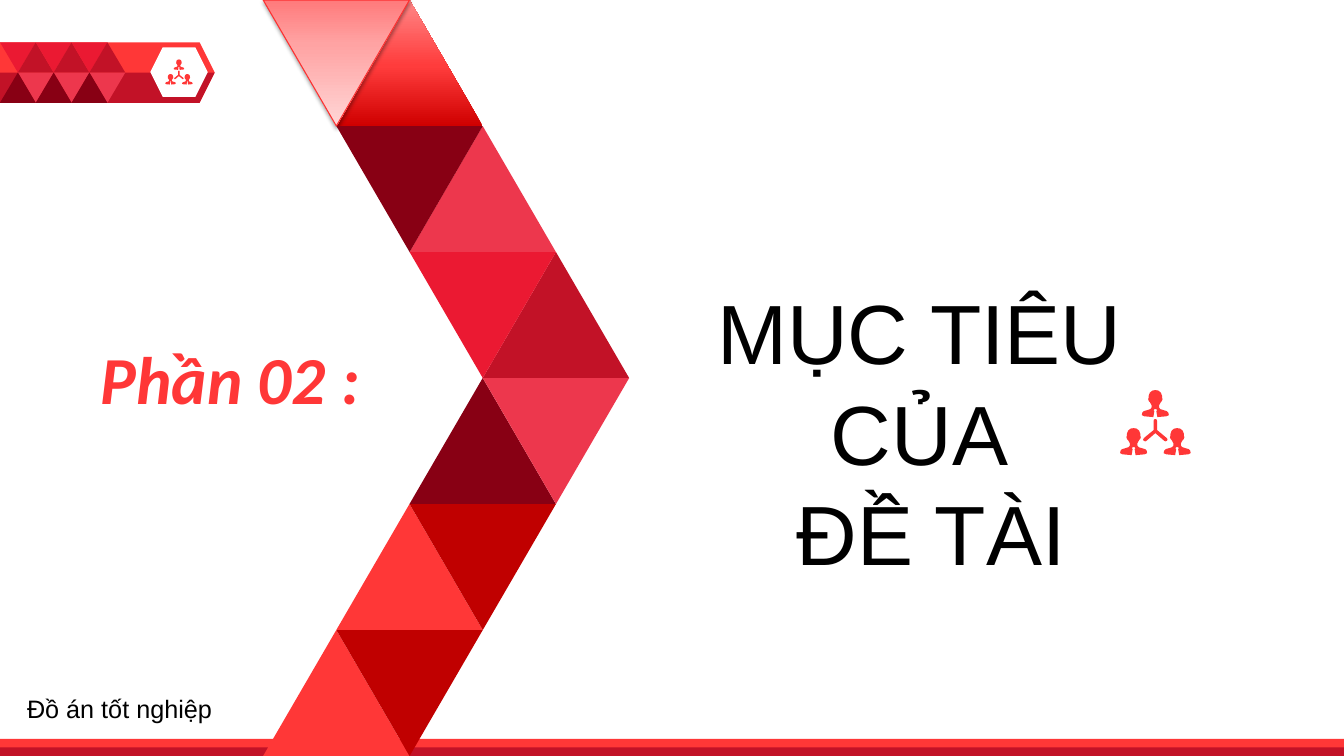
from lxml.etree import SubElement
from pptx import Presentation
from pptx.dml.color import RGBColor
from pptx.enum.shapes import MSO_SHAPE as SHAPE
from pptx.enum.text import MSO_ANCHOR, MSO_AUTO_SIZE, PP_ALIGN
from pptx.oxml.ns import qn
from pptx.util import Inches, Pt

SLIDE_W, SLIDE_H = 13.33, 7.5

BLACK = RGBColor(0x00, 0x00, 0x00)
WHITE = RGBColor(0xFF, 0xFF, 0xFF)
CORAL = RGBColor(0xFF, 0x37, 0x37)
OUTLINE = RGBColor(0xFD, 0x30, 0x30)
SCARLET = RGBColor(0xEB, 0x19, 0x32)
ROSE = RGBColor(0xED, 0x37, 0x4D)
CRIMSON = RGBColor(0xC2, 0x12, 0x27)
MAROON = RGBColor(0x88, 0x00, 0x14)
DARK_RED = RGBColor(0xC0, 0x00, 0x00)
RED_FADE = ((0, RGBColor(0xCF, 0x00, 0x00)), (48, RGBColor(0xFF, 0x3C, 0x3C)),
            (100, RGBColor(0xFF, 0x87, 0x87)))
PINK_FADE = ((0, RGBColor(0xFF, 0x7A, 0x7B)), (35, RGBColor(0xFF, 0xA3, 0xA3)),
             (100, RGBColor(0xFF, 0xD6, 0xD6)))

# Fills of the pointing-up and pointing-down triangle in each chevron row
CHEVRON_ROWS = ((RED_FADE, PINK_FADE), (ROSE, MAROON), (CRIMSON, SCARLET),
                (MAROON, ROSE), (CORAL, DARK_RED), (CORAL, DARK_RED))

# Right half of a person, from crown to tie, about a vertical axis
PERSON_HALF = ((0, 0), (30, 5), (55, 25), (68, 60), (68, 80), (72, 90), (65, 110),
               (55, 120), (38, 150), (38, 175), (50, 190), (80, 200), (115, 210),
               (130, 225), (135, 250), (110, 262), (20, 270), (10, 210), (18, 200),
               (8, 190))
PERSON_SPOTS = ((352, 0), (135, 380), (570, 380))
LINKS_HALF = ((0, 290), (12, 293), (18, 308), (18, 400), (115, 480), (122, 495),
              (115, 508), (100, 512), (90, 508), (0, 430))
ICON_UNITS = 705


def style(sp, fill):
    sp.shadow.inherit = False
    sp.line.fill.background()
    if isinstance(fill, RGBColor):
        sp.fill.solid()
        sp.fill.fore_color.rgb = fill
    else:
        paint_fade(sp, fill)
    return sp


def paint_fade(sp, stops):
    """Fill from bottom to top with (percent, colour) stops."""
    sp.fill.gradient()
    sp.fill.gradient_angle = 90
    stop_list = sp._element.spPr.find(qn("a:gradFill")).find(qn("a:gsLst"))
    stop_list.clear()
    for percent, color in stops:
        stop = SubElement(stop_list, qn("a:gs"), pos=str(percent * 1000))
        SubElement(stop, qn("a:srgbClr"), val=str(color))


def raise_triangle(sp):
    """Give the triangle a thin outline and a soft shadow below."""
    sp.line.color.rgb = OUTLINE
    sp.line.width = Pt(0.75)
    effects = sp._element.spPr.find(qn("a:effectLst"))
    shadow = SubElement(effects, qn("a:outerShdw"), blurRad=str(Pt(3.1)),
                        dist=str(Pt(1.6)), dir="5400000", rotWithShape="0")
    color = SubElement(shadow, qn("a:srgbClr"), val=str(BLACK))
    SubElement(color, qn("a:alpha"), val="37000")


def add_preset(slide, kind, x, y, w, h, fill):
    sp = slide.shapes.add_shape(kind, Inches(x), Inches(y), Inches(w), Inches(h))
    return style(sp, fill)


def add_triangle(slide, x, y, w, h, fill, up=True):
    sp = add_preset(slide, SHAPE.ISOSCELES_TRIANGLE, x, y, w, h, fill)
    sp.rotation = 0 if up else 180
    return sp


def add_outline(slide, x, y, scale, contours, fill):
    """Draw closed contours, given in local units, with their origin at x, y."""
    builder = slide.shapes.build_freeform(*contours[0][0], scale=scale)
    for i, contour in enumerate(contours):
        if i:
            builder.move_to(*contour[0])
        builder.add_line_segments(contour[1:], close=True)
    return style(builder.convert_to_shape(Inches(x), Inches(y)), fill)


def mirrored(half, cx, cy):
    right = [(cx + x, cy + y) for x, y in half]
    left = [(cx - x, cy + y) for x, y in reversed(half) if x]
    return right + left


def add_team_icon(slide, x, y, w):
    contours = [mirrored(PERSON_HALF, cx, cy) for cx, cy in PERSON_SPOTS]
    contours.append(mirrored(LINKS_HALF, PERSON_SPOTS[0][0], 0))
    add_outline(slide, x, y, Inches(w) / ICON_UNITS, contours, CORAL)


def add_header_tag(slide, x, y, w, h):
    tip, half = 0.15, h / 2
    tag = add_preset(slide, SHAPE.PENTAGON, x, y, w, h, CORAL)
    tag.adjustments[0] = tip / h
    lower = [(0, 0), (w * 100, 0), ((w - tip) * 100, half * 100), (0, half * 100)]
    add_outline(slide, x, y + half, Inches(0.01), [lower], CRIMSON)
    badge = add_preset(slide, SHAPE.HEXAGON, x + 0.7 * w, y + 0.05, 0.57, 0.49, WHITE)
    badge.adjustments[0] = 0.25
    add_team_icon(slide, x + 0.77 * w, y + 0.17, 0.27)
    side = w / 6
    for i in range(3):
        left, mid = x + i * side, x + (i + 0.5) * side
        add_triangle(slide, left, y, side, half, SCARLET, up=False)
        add_triangle(slide, mid, y, side, half, CRIMSON)
        add_triangle(slide, mid, y + half, side, half, ROSE, up=False)
        add_triangle(slide, left, y + half, side, half, MAROON)


def add_footer(slide, x, y, w, h):
    add_preset(slide, SHAPE.RECTANGLE, x, y, w, h, CORAL)
    add_preset(slide, SHAPE.RECTANGLE, x, y + h / 2, w, h / 2, CRIMSON)


def add_chevron(slide, x, y, w, h):
    count = len(CHEVRON_ROWS)
    step, row_h = w / 5, h / count
    for row, (up_fill, down_fill) in enumerate(CHEVRON_ROWS):
        if row < count / 2:
            up_col, down_col = row + 1, row
        else:
            up_col, down_col = count - 1 - row, count - row
        top = y + row * row_h
        add_triangle(slide, x + up_col * step, top, 2 * step, row_h, up_fill)
        sp = add_triangle(slide, x + down_col * step, top, 2 * step, row_h,
                          down_fill, up=False)
        if down_fill is PINK_FADE:
            raise_triangle(sp)


def add_run(p, text, size, font, color):
    r = p.add_run()
    r.text = text
    r.font.size, r.font.name = Pt(size), font
    r.font.color.rgb = color
    return r


def add_label(slide, x, y, w, h, text, size, font, color):
    box = slide.shapes.add_textbox(Inches(x), Inches(y), Inches(w), Inches(h))
    tf = box.text_frame
    tf.word_wrap = True
    return add_run(tf.paragraphs[0], text, size, font, color)


def set_title(slide, x, y, w, h, lines):
    title = slide.shapes.title
    title.left, title.top = Inches(x), Inches(y)
    title.width, title.height = Inches(w), Inches(h)
    tf = title.text_frame
    tf.word_wrap = True
    tf.auto_size = MSO_AUTO_SIZE.NONE
    tf.vertical_anchor = MSO_ANCHOR.TOP
    for i, line in enumerate(lines):
        p = tf.add_paragraph() if i else tf.paragraphs[0]
        p.alignment = PP_ALIGN.CENTER
        add_run(p, line, 60, "Arial", BLACK)


def build_section_slide(prs):
    slide = prs.slides.add_slide(prs.slide_layouts[5])
    add_header_tag(slide, 0, 0.42, 2.13, 0.6)
    add_footer(slide, 0, SLIDE_H - 0.17, SLIDE_W, 0.17)
    add_chevron(slide, 2.61, 0, 3.63, SLIDE_H)
    part = add_label(slide, 0.9, 3.3, 4.12, 0.9, "Phần 02 :", 48, "Calibri", CORAL)
    part.font.bold = part.font.italic = True
    set_title(slide, 6.42, 2.73, 5.4, 3.13, ("MỤC TIÊU CỦA", " ĐỀ TÀI"))
    add_team_icon(slide, 11.11, 3.87, 0.7)
    add_label(slide, 0.17, 6.83, 2.83, 0.4, "Đồ án tốt nghiệp", 18, "Arial", BLACK)


def main():
    prs = Presentation()
    prs.slide_width, prs.slide_height = Inches(SLIDE_W), Inches(SLIDE_H)
    build_section_slide(prs)
    prs.save("out.pptx")


if __name__ == "__main__":
    main()
